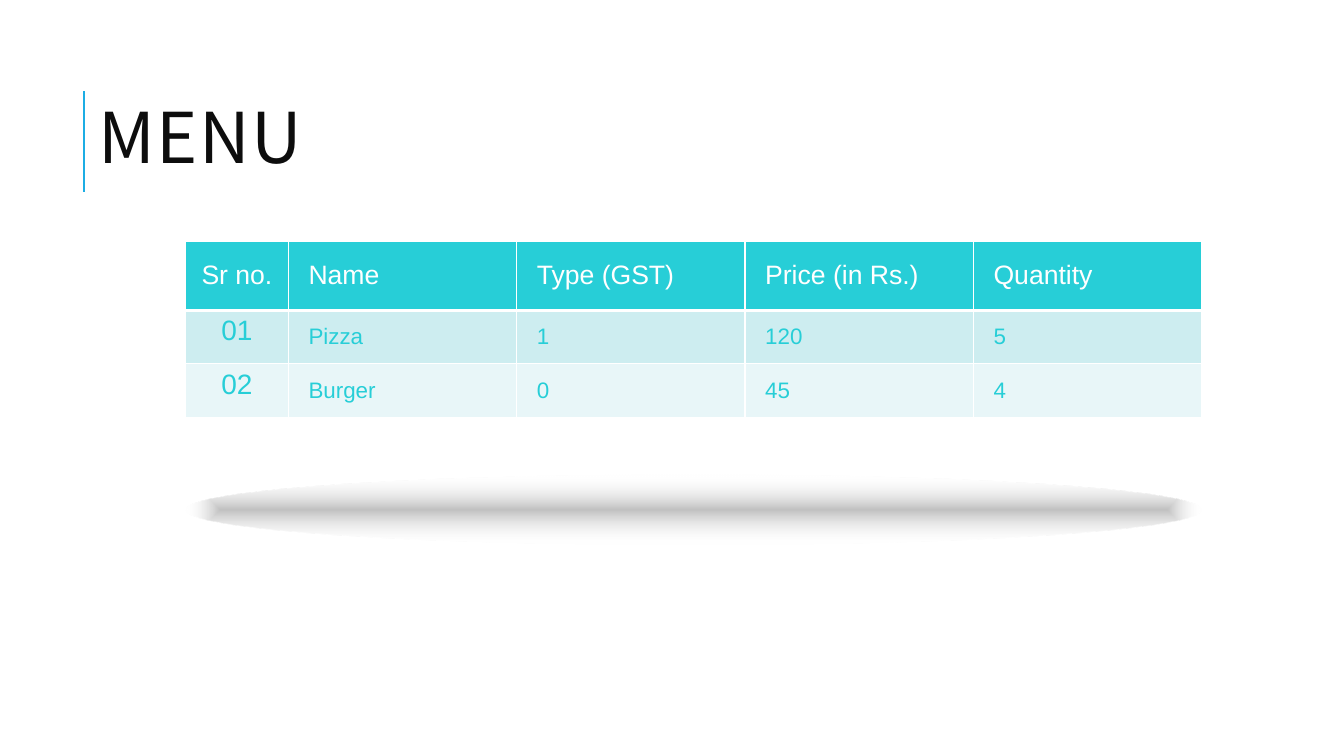
from lxml import etree
from pptx import Presentation, util as u
from pptx.dml.color import RGBColor
from pptx.enum import shapes, text
from pptx.oxml import parse_xml
from pptx.oxml.ns import nsdecls, qn

TITLE = "MENU"
MENU = [
    ("Sr no.", "Name", "Type (GST)", "Price (in Rs.)", "Quantity"),
    ("01", "Pizza", "1", "120", "5"),
    ("02", "Burger", "0", "45", "4"),
]
ROW_FILLS = ("27CED7", "CDEDF0", "E8F6F8")
ROW_HEIGHTS = (0.69, 0.53, 0.53)
LEFT, TOP, WIDTH = 1.84, 2.39, 10.08
NUMBER_WIDTH = 1.02
ITEM_WIDTH = (WIDTH - NUMBER_WIDTH) / (len(MENU[0]) - 1)


def color(value):
    return RGBColor.from_string(value)


def write(frame, words, size, ink, font="Arial", align=text.PP_ALIGN.LEFT, spacing=None, tracking=None):
    paragraph = frame.paragraphs[0]
    paragraph.alignment = align
    if spacing:
        paragraph.line_spacing = spacing
    run = paragraph.add_run()
    run.text = words
    run.font.size = u.Pt(size)
    run.font.name = font
    run.font.color.rgb = color(ink)
    properties = run.font._element
    if tracking:
        properties.set("spc", str(tracking * 100))
    east_asian = etree.SubElement(properties, qn("a:ea"))
    east_asian.set("typeface", font)


def add_borders(cell, bottom):
    properties = cell._tc.get_or_add_tcPr()
    for place, (side, weight) in enumerate((("L", 1), ("R", 1), ("T", 1), ("B", bottom))):
        properties.insert(place, parse_xml(
            f'<a:ln{side} {nsdecls("a")} w="{u.Pt(weight)}"><a:solidFill>'
            f'<a:srgbClr val="FFFFFF"/></a:solidFill></a:ln{side}>'))


deck = Presentation()
deck.slide_width, deck.slide_height = u.Inches(13.33), u.Inches(7.5)
slide = deck.slides.add_slide(deck.slide_layouts[6])

accent = slide.shapes.add_connector(
    shapes.MSO_CONNECTOR.STRAIGHT, *map(u.Inches, (0.83, 1.9, 0.83, 0.9)))
accent.line.color.rgb = color("1CADE4")
accent.line.width = u.Pt(1.5)
etree.SubElement(accent._element.spPr, qn("a:effectLst"))

heading = slide.shapes.add_textbox(*map(u.Inches, (0.88, 1.03, 12, 0.78))).text_frame
heading.word_wrap = True
heading.vertical_anchor = text.MSO_ANCHOR.MIDDLE
write(heading, TITLE, 50, "0D0D0D", font="Noto Sans CJK KR", spacing=0.8, tracking=1)

menu = slide.shapes.add_table(
    len(MENU), len(MENU[0]), *map(u.Inches, (LEFT, TOP, WIDTH, sum(ROW_HEIGHTS)))).table
for index, column in enumerate(menu.columns):
    column.width = u.Inches(ITEM_WIDTH if index else NUMBER_WIDTH)

for r, (entries, fill, height) in enumerate(zip(MENU, ROW_FILLS, ROW_HEIGHTS)):
    menu.rows[r].height = u.Inches(height)
    header = r == 0
    for c, entry in enumerate(entries):
        cell = menu.cell(r, c)
        numbering = c == 0
        cell.fill.solid()
        cell.fill.fore_color.rgb = color(fill)
        cell.vertical_anchor = (
            text.MSO_ANCHOR.MIDDLE if header or not numbering else text.MSO_ANCHOR.TOP)
        if not numbering:
            cell.margin_left = u.Inches(0.2)
        add_borders(cell, 3 if header else 1)
        write(cell.text_frame, entry,
              size=19 if header else 20 if numbering else 16,
              ink="FFFFFF" if header else "27CED7",
              align=text.PP_ALIGN.CENTER if numbering else text.PP_ALIGN.LEFT)

glow = slide.shapes.add_shape(
    shapes.MSO_SHAPE.OVAL, *map(u.Inches, (LEFT, 4.71, WIDTH, 0.69)))
glow.shadow.inherit = False
glow.line.fill.background()
glow._element.spPr.insert(2, parse_xml(
    f'<a:gradFill {nsdecls("a")} rotWithShape="1"><a:gsLst>'
    '<a:gs pos="0"><a:srgbClr val="808080"><a:alpha val="49000"/></a:srgbClr></a:gs>'
    '<a:gs pos="100000"><a:srgbClr val="FFFFFF"><a:alpha val="0"/></a:srgbClr></a:gs>'
    '</a:gsLst><a:path path="shape">'
    '<a:fillToRect l="50000" t="50000" r="50000" b="50000"/></a:path></a:gradFill>'))

deck.save("out.pptx")
